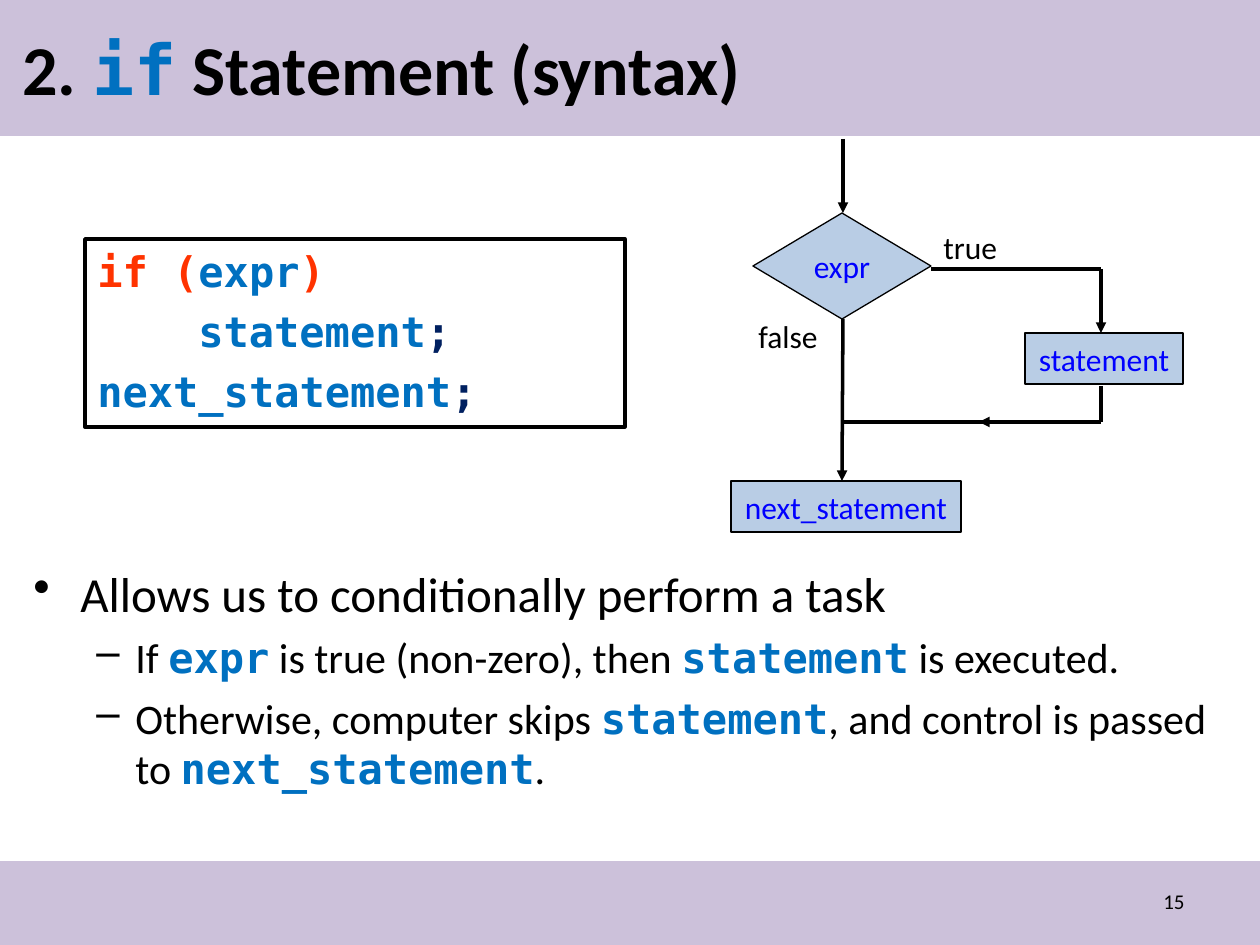
from lxml import etree
from pptx import Presentation
from pptx.dml.color import RGBColor
from pptx.enum.shapes import MSO_CONNECTOR, MSO_SHAPE
from pptx.enum.text import MSO_ANCHOR, PP_ALIGN
from pptx.oxml.ns import qn
from pptx.util import Emu, Pt

RECT, DIAMOND = MSO_SHAPE.RECTANGLE, MSO_SHAPE.DIAMOND
STRAIGHT = MSO_CONNECTOR.STRAIGHT
TOP, MIDDLE = MSO_ANCHOR.TOP, MSO_ANCHOR.MIDDLE
LEFT, CENTER, RIGHT = PP_ALIGN.LEFT, PP_ALIGN.CENTER, PP_ALIGN.RIGHT
SANS, MONO = "Calibri", "DejaVu Sans Mono"
COLORS = {
    "band": "CCC1DA", "node": "B9CDE5", "black": "000000", "name": "0070C0",
    "keyword": "FF3300", "mark": "002060", "label": "0000FF",
}


def px(n):
    return Emu(round(n * 914400 / 126))


def rgb(name):
    return RGBColor.from_string(COLORS[name])


class Canvas:
    """Draws styled elements on one slide, measured in pixels."""

    def __init__(self, slide):
        self.slide = slide

    def shape(self, kind, box, fill=None, line=None):
        sp = self.slide.shapes.add_shape(kind, *map(px, box))
        sp.shadow.inherit = False
        if fill:
            sp.fill.solid()
            sp.fill.fore_color.rgb = rgb(fill)
        else:
            sp.fill.background()
        if line:
            sp.line.color.rgb = rgb("black")
            sp.line.width = Pt(line)
        else:
            sp.line.fill.background()
        return sp

    def textbox(self, box, anchor=TOP, wrap=True):
        sp = self.slide.shapes.add_textbox(*map(px, box))
        self.frame(sp, anchor, wrap)
        return sp

    def frame(self, sp, anchor, wrap=True):
        sp.text_frame.vertical_anchor = anchor
        sp.text_frame.word_wrap = wrap

    def paragraph(self, sp, runs, size, font=SANS, color="black", bold=False,
                  align=LEFT, before=0, indent=0, hang=0, bullet=None):
        tf = sp.text_frame
        p = tf.add_paragraph() if tf.text else tf.paragraphs[0]
        p.alignment = align
        p.space_before = Pt(before)
        p.font.size, p.font.name, p.font.bold = Pt(size), font, bold
        p.font.color.rgb = rgb(color)
        for text, *style in runs:
            r = p.add_run()
            r.text = text
            if style:
                r.font.name, r.font.bold = MONO, True
                r.font.color.rgb = rgb(style[0])
        pPr = p._p.get_or_add_pPr()
        pPr.set("marL", str(px(indent)))
        pPr.set("indent", str(px(-hang)))
        if bullet:
            bu = etree.Element(qn("a:buChar"), char=bullet)
            pPr.insert_element_before(bu, "a:tabLst", "a:defRPr", "a:extLst")

    def node(self, kind, box, text):
        sp = self.shape(kind, box, "node", 0.75)
        self.frame(sp, MIDDLE, False)
        self.paragraph(sp, [(text,)], 18, color="label", align=CENTER)

    def label(self, box, text):
        self.paragraph(self.textbox(box, wrap=False), [(text,)], 18)

    def line(self, start, end, arrow=False):
        cxn = self.slide.shapes.add_connector(STRAIGHT, *map(px, start + end))
        cxn.line.color.rgb = rgb("black")
        cxn.line.width = Pt(2)
        if arrow:
            etree.SubElement(cxn.line._get_or_add_ln(), qn("a:tailEnd"), type="triangle")
        etree.SubElement(cxn._element.spPr, qn("a:effectLst"))


prs = Presentation()
prs.slide_width, prs.slide_height = px(1260), px(945)
c = Canvas(prs.slides.add_slide(prs.slide_layouts[6]))

for band in ((0, 0, 1260, 136), (0, 861, 1260, 84)):
    c.shape(RECT, band, "band")
number = c.textbox((903, 876, 294, 50), MIDDLE)
c.paragraph(number, [("15",)], 12, align=RIGHT)
title = c.textbox((10, 10, 1134, 116), MIDDLE)
c.paragraph(title, [("2. ",), ("if", "name"), (" Statement (syntax)",)], 40, bold=True)

code = c.shape(RECT, (85, 239, 540, 188), line=2)
c.frame(code, TOP)
CODE_LINES = [
    (0, [("if (", "keyword"), ("expr", "name"), (")", "keyword")]),
    (101, [("statement", "name"), (";", "mark")]),
    (0, [("next_statement", "name"), (";", "mark")]),
]
for indent, runs in CODE_LINES:
    c.paragraph(code, runs, 24, MONO, bold=True, before=5.6, indent=indent)

AXIS, BRANCH, JOIN = 843, 1101, 422
c.node(DIAMOND, (753, 213, 178, 106), "expr")
c.node(RECT, (731, 481, 230, 51), "next_statement")
c.node(RECT, (1025, 333, 158, 51), "statement")
c.label((931, 222, 79, 50), "true")
c.label((746, 311, 86, 50), "false")
FLOW = [
    ((AXIS, 139), (AXIS, 213), True),
    ((AXIS, 319), (AXIS - 1, 481), True),
    ((931, 269), (BRANCH, 269), False),
    ((BRANCH, 269), (BRANCH, 333), True),
    ((BRANCH, 386), (BRANCH, JOIN), False),
    ((BRANCH, JOIN), (AXIS - 1, JOIN), False),
    ((BRANCH, JOIN), (979, JOIN), True),
]
for start, end, arrow in FLOW:
    c.line(start, end, arrow)

body = c.textbox((21, 557, 1218, 312))
c.paragraph(body, [("Allows us to conditionally perform a task",)], 28,
            before=6.8, indent=47, hang=47, bullet="•")
DETAILS = [
    [("If ",), ("expr", "name"), (" is true (non-zero), then ",),
     ("statement", "name"), (" is executed.",)],
    [("Otherwise, computer skips ",), ("statement", "name"),
     (", and control is passed to ",), ("next_statement", "name"), (".",)],
]
for runs in DETAILS:
    c.paragraph(body, runs, 24, before=5.6, indent=102, hang=39, bullet="–")

prs.save("out.pptx")
